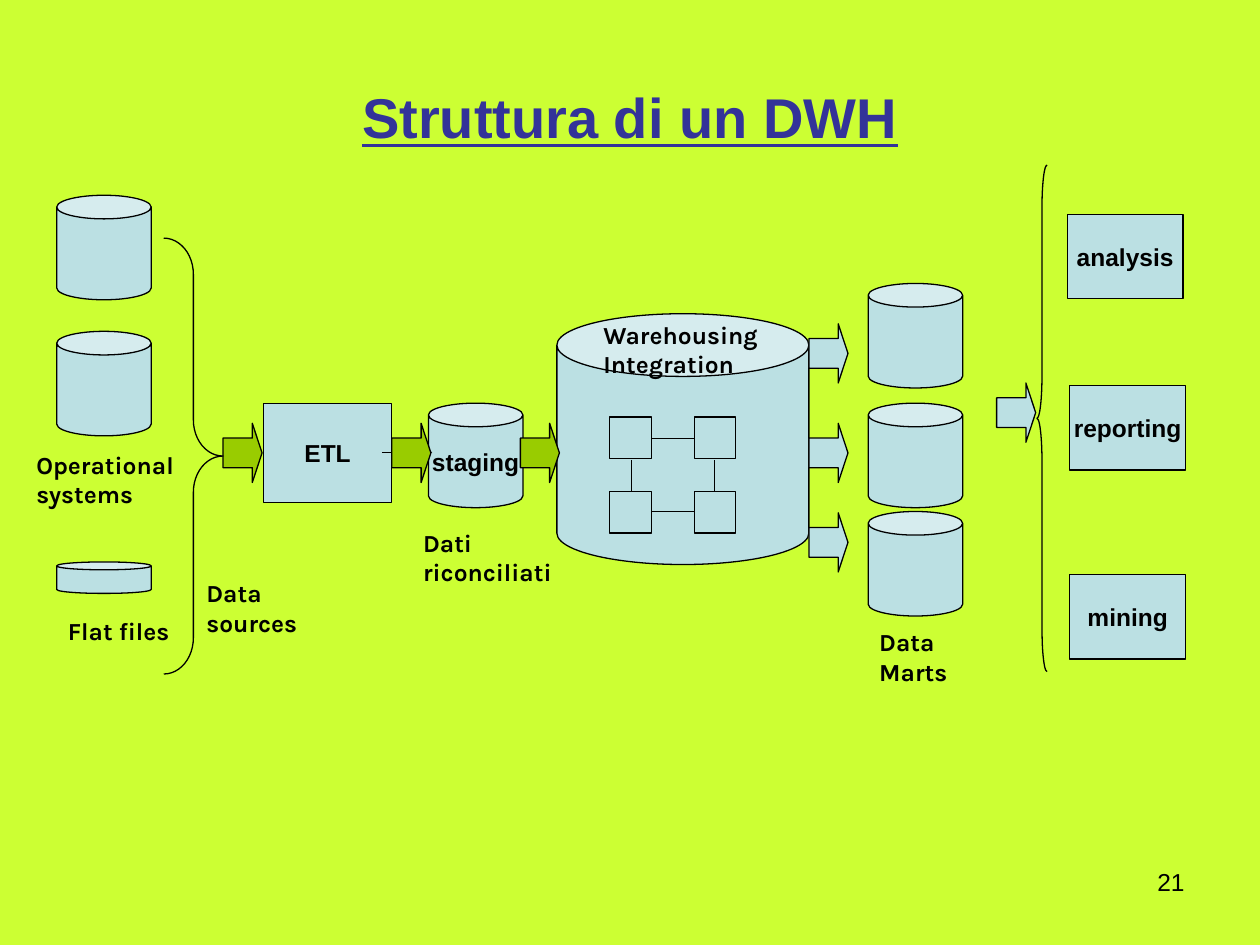
"""Build the slide that shows the structure of a data warehouse."""
import dataclasses
import itertools

import pptx
import pptx.dml.color
import pptx.enum.shapes
import pptx.enum.text
import pptx.oxml
import pptx.oxml.ns
import pptx.util

Inches = pptx.util.Inches
Pt = pptx.util.Pt
Color = pptx.dml.color.RGBColor
Kind = pptx.enum.shapes.MSO_SHAPE
Align = pptx.enum.text.PP_ALIGN
Anchor = pptx.enum.text.MSO_ANCHOR

LIME = Color(0xCC, 0xFF, 0x33)
BLUE = Color(0xBB, 0xE0, 0xE3)
GREEN = Color(0x99, 0xCC, 0x00)
NAVY = Color(0x33, 0x33, 0x99)
BLACK = Color(0x00, 0x00, 0x00)


@dataclasses.dataclass
class Node:
    kind: Kind
    left: float
    top: float
    width: float
    height: float
    text: str = ""
    fill: Color | None = BLUE
    adjust: tuple[float, ...] = ()


@dataclasses.dataclass
class Label:
    left: float
    top: float
    width: float
    height: float
    text: str
    face: str = "Karla"
    size: int = 14
    color: Color = BLACK
    bold: bool = True
    under: bool = False
    wrap: bool = False
    align: Align = Align.LEFT
    anchor: Anchor = Anchor.TOP


@dataclasses.dataclass
class Link:
    start: tuple[float, float]
    end: tuple[float, float]
    head: bool = False


def can(left: float, top: float, width: float = 0.75, height: float = 0.83, text: str = "") -> Node:
    return Node(Kind.CAN, left, top, width, height, text, adjust=(0.25,))


def box(left: float, top: float, width: float, height: float, text: str = "") -> Node:
    return Node(Kind.RECTANGLE, left, top, width, height, text)


def arrow(left: float, top: float, fill: Color = BLUE) -> Node:
    return Node(Kind.RIGHT_ARROW, left, top, 0.31, 0.47, fill=fill, adjust=(0.5, 0.25))


def style_text(frame, item: Label) -> None:
    frame.text = item.text
    frame.word_wrap = item.wrap
    frame.vertical_anchor = item.anchor
    for line in frame.paragraphs:
        line.alignment = item.align
        for run in line.runs:
            font = run.font
            font.name, font.size = item.face, Pt(item.size)
            font.bold, font.underline = item.bold, item.under
            font.color.rgb = item.color


def draw_node(slide, node: Node) -> None:
    place = map(Inches, (node.left, node.top, node.width, node.height))
    shape = slide.shapes.add_shape(node.kind, *place)
    shape.shadow.inherit = False
    for index, value in enumerate(node.adjust):
        shape.adjustments[index] = value
    if node.fill is None:
        shape.fill.background()
    else:
        shape.fill.solid()
        shape.fill.fore_color.rgb = node.fill
    shape.line.color.rgb = BLACK
    shape.line.width = Pt(0.75)
    if node.text:
        style_text(shape.text_frame, Label(node.left, node.top, node.width, node.height, node.text,
                                           "Arial", align=Align.CENTER, anchor=Anchor.MIDDLE))


def draw_label(slide, label: Label) -> None:
    place = map(Inches, (label.left, label.top, label.width, label.height))
    style_text(slide.shapes.add_textbox(*place).text_frame, label)


def draw_link(slide, link: Link) -> None:
    ends = map(Inches, link.start + link.end)
    line = slide.shapes.add_connector(pptx.enum.shapes.MSO_CONNECTOR.STRAIGHT, *ends)
    line.line.color.rgb = BLACK
    line.line.width = Pt(0.75)
    props = line._element.spPr
    if link.head:
        tail = pptx.oxml.parse_xml(f'<a:tailEnd {pptx.oxml.ns.nsdecls("a")} type="triangle"/>')
        props.find(pptx.oxml.ns.qn("a:ln")).append(tail)
    props.append(pptx.oxml.parse_xml(f'<a:effectLst {pptx.oxml.ns.nsdecls("a")}/>'))


STORES = [
    can(0.45, 1.55), can(0.45, 2.63), can(0.45, 4.46, height=0.25),
    can(3.4, 3.2, text="staging"), can(4.42, 2.49, 2, 1.99),
    *(can(6.89, top) for top in (2.25, 3.2, 4.06)),
]
TOOLS = [
    box(8.47, 1.7, 0.92, 0.67, "analysis"),
    box(8.49, 3.06, 0.92, 0.67, "reporting"),
    box(8.49, 4.56, 0.92, 0.67, "mining"),
    box(2.09, 3.2, 1.02, 0.79, "ETL"),
]
CELLS = [box(left, top, 0.33, 0.33) for left, top in itertools.product((4.84, 5.51), (3.31, 3.9))]
LINKS = [
    *(Link((5.17, y), (5.51, y)) for y in (3.48, 4.06)),
    *(Link((x, 3.65), (x, 3.9)) for x in (5.01, 5.67)),
    Link((1.85, 3.56), (2.02, 3.56), True),
    Link((3.03, 3.59), (3.43, 3.59), True),
    Link((4.13, 3.59), (4.37, 3.59), True),
]
LABELS = [
    Label(0.5, 0.3, 9, 1.25, "Struttura di un DWH", "Arial", 32, NAVY, under=True, wrap=True,
          align=Align.CENTER, anchor=Anchor.MIDDLE),
    Label(1.54, 4.54, 0.94, 0.57, "Data\nsources"),
    Label(4.69, 2.49, 1.49, 0.57, "Warehousing\nIntegration"),
    Label(0.19, 3.52, 1.37, 0.57, "Operational\nsystems"),
    Label(0.44, 4.84, 1.02, 0.34, "Flat files"),
    Label(3.26, 4.14, 1.24, 0.57, "Dati\nriconciliati"),
    Label(6.88, 4.93, 0.77, 0.57, "Data\nMarts"),
    Label(7.17, 6.83, 2.33, 0.52, "21", "Arial", bold=False, wrap=True, align=Align.RIGHT),
]
FLOWS = [
    arrow(7.91, 3.04),
    *(arrow(6.42, top) for top in (2.57, 3.36, 4.07)),
    *(arrow(left, 3.36, GREEN) for left in (4.13, 3.11, 1.77)),
    Node(Kind.LEFT_BRACE, 8.23, 1.31, 0.08, 4.02, fill=None, adjust=(4.17, 0.5)),
    Node(Kind.RIGHT_BRACE, 1.3, 1.89, 0.47, 3.46, fill=None, adjust=(0.61, 0.5)),
]


def main() -> None:
    deck = pptx.Presentation()
    deck.slide_width, deck.slide_height = Inches(10), Inches(7.5)
    slide = deck.slides.add_slide(deck.slide_layouts[6])
    slide.background.fill.solid()
    slide.background.fill.fore_color.rgb = LIME
    for node in STORES + TOOLS + CELLS:
        draw_node(slide, node)
    for link in LINKS:
        draw_link(slide, link)
    for label in LABELS:
        draw_label(slide, label)
    for node in FLOWS:
        draw_node(slide, node)
    deck.save("out.pptx")


if __name__ == "__main__":
    main()
